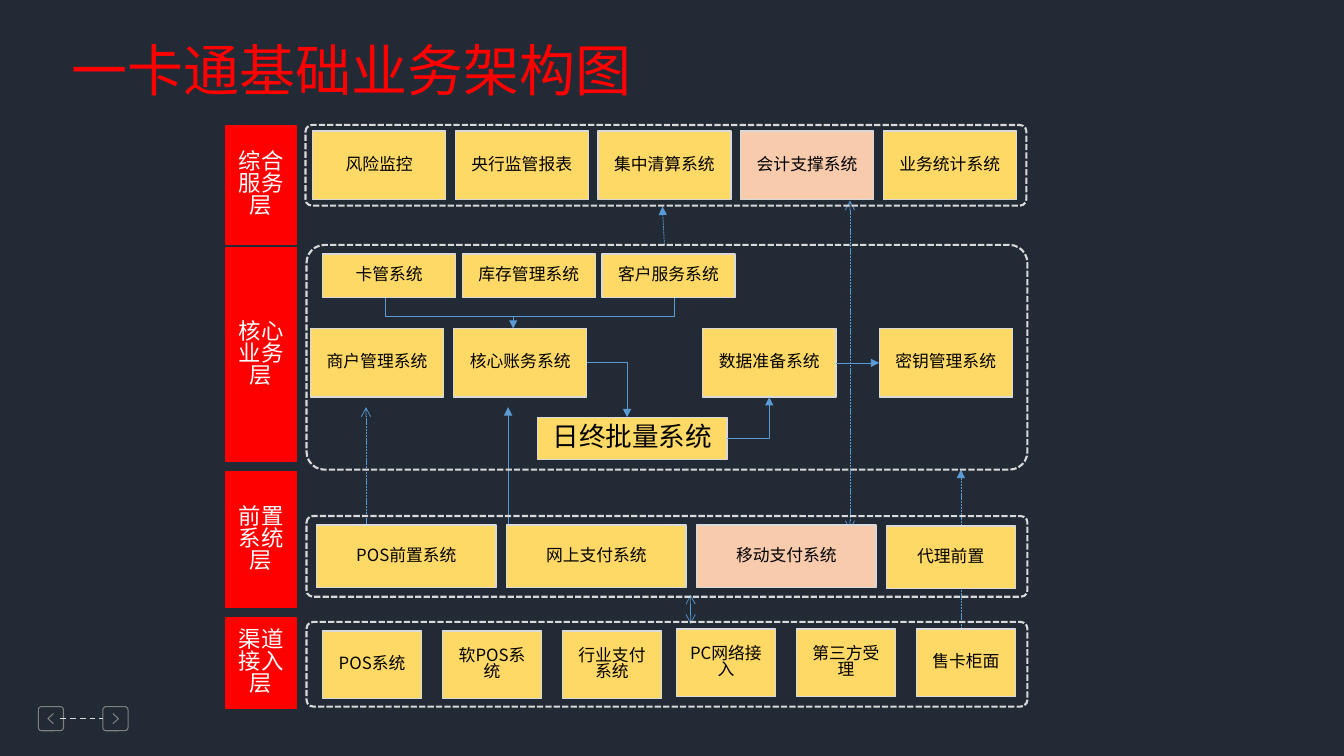
from lxml import etree
from pptx import Presentation
from pptx.dml.color import RGBColor
from pptx.enum.dml import MSO_LINE
from pptx.enum.shapes import MSO_CONNECTOR, MSO_SHAPE
from pptx.enum.text import MSO_ANCHOR, MSO_AUTO_SIZE, PP_ALIGN
from pptx.oxml.ns import qn
from pptx.util import Inches, Pt

STRAIGHT, ELBOW = MSO_CONNECTOR.STRAIGHT, MSO_CONNECTOR.ELBOW
RECT, ROUNDED = MSO_SHAPE.RECTANGLE, MSO_SHAPE.ROUNDED_RECTANGLE
DASH, FINE_DASH = MSO_LINE.DASH, MSO_LINE.SQUARE_DOT
MIDDLE, TOP, CENTER = MSO_ANCHOR.MIDDLE, MSO_ANCHOR.TOP, PP_ALIGN.CENTER
FONT = "Noto Sans CJK SC"
NIGHT, RED, YELLOW, PINK = "222A35", "FF0000", "FFD966", "F8CBAD"
BLUE, PALE, GREY, WHITE, BLACK = "5B9BD5", "D9D9D9", "808080", "FFFFFF", "000000"

TITLE = "一卡通基础业务架构图"
LAYER_LEFT, LAYER_WIDTH = 2.24, 0.7
LAYERS = [("综合服务层", 1.25, 1.17), ("核心业务层", 2.46, 2.12),
          ("前置系统层", 4.68, 1.35), ("渠道接入层", 6.13, 0.9)]
PANEL_WIDTH = 7.15
PANELS = [(3.03, 1.24, 0.8), (3.04, 2.43, 2.23), (3.04, 5.12, 0.8), (3.04, 6.17, 0.84)]
PINK_SYSTEMS = {"会计支撑系统", "移动支付系统"}
# left, top, column step, card width, card height, text size, systems
SYSTEM_ROWS = [
    (3.1, 1.3, 1.415, 1.32, 0.68, 12,
     ["风险监控", "央行监管报表", "集中清算系统", "会计支撑系统", "业务统计系统"]),
    (3.2, 2.52, 1.385, 1.32, 0.43, 12, ["卡管系统", "库存管理系统", "客户服务系统"]),
    (3.08, 3.26, 1.42, 1.32, 0.68, 12, ["商户管理系统", "核心账务系统"]),
    (6.97, 3.26, 1.75, 1.32, 0.68, 12, ["数据准备系统", "密钥管理系统"]),
    (5.33, 4.14, 0, 1.88, 0.42, 19, ["日终批量系统"]),
    (3.14, 5.21, 1.885, 1.78, 0.62, 12, ["POS前置系统", "网上支付系统", "移动支付系统"]),
    (8.79, 5.22, 0, 1.28, 0.62, 12, ["代理前置"]),
    (3.2, 6.26, 1.19, 0.98, 0.67, 12, ["POS系统", "软POS系统", "行业支付系统"]),
    (6.71, 6.24, 1.19, 0.98, 0.67, 12, ["PC网络接入", "第三方受理", "售卡柜面"]),
]
LAYER_FLOWS = [
    ((6.59, 2.43), (6.57, 2.05), FINE_DASH, None, "triangle"),
    ((3.63, 5.36), (3.63, 4.04), FINE_DASH, "arrow", "arrow"),
    ((8.43, 5.26), (8.43, 1.99), FINE_DASH, "arrow", "arrow"),
    ((5.04, 5.38), (5.04, 4.04), None, None, "triangle"),
    ((9.53, 6.24), (9.53, 4.66), FINE_DASH, None, "triangle"),
    ((6.85, 5.9), (6.85, 6.19), None, "arrow", "arrow"),
    ((3.82, 2.94), (3.82, 3.14), None, None, None),
    ((6.69, 2.94), (6.69, 3.14), None, None, None),
    ((3.82, 3.14), (6.69, 3.14), None, None, None),
    ((5.09, 3.14), (5.09, 3.26), None, None, "triangle"),
]
SYSTEM_FLOWS = [
    (ELBOW, (5.82, 3.6), (6.22, 4.14), ("核心账务系统", 3), None),
    (ELBOW, (7.21, 4.35), (7.63, 3.94), ("日终批量系统", 3), ("数据准备系统", 2)),
    (STRAIGHT, (8.29, 3.6), (8.72, 3.6), ("数据准备系统", 3), ("密钥管理系统", 1)),
]
NAV_BUTTONS = [(0.38, 0.53, 0.475), (1.02, 1.12, 1.175)]


def color(value):
    """Turn a hex string into a colour."""
    return RGBColor.from_string(value)


def apply(target, values):
    """Set every attribute named in a dict."""
    for name, value in values.items():
        setattr(target, name, value)


def stroke(line, value, width, dash=None):
    """Format an outline or connector line."""
    line.color.rgb = color(value)
    apply(line, {"width": Pt(width), "dash_style": dash})


def write(frame, text, size, value, anchor, wrap, spacing):
    """Put one centred paragraph in a text frame."""
    apply(frame, {"text": text, "word_wrap": wrap, "vertical_anchor": anchor,
                  "auto_size": MSO_AUTO_SIZE.NONE,
                  "margin_left": Inches(0.1), "margin_right": Inches(0.1),
                  "margin_top": Inches(0.05), "margin_bottom": Inches(0.05)})
    paragraph = frame.paragraphs[0]
    apply(paragraph, {"alignment": CENTER, "line_spacing": spacing})
    run = paragraph.runs[0]
    apply(run.font, {"name": FONT, "size": Pt(size)})
    run.font.color.rgb = color(value)
    etree.SubElement(run.font._element, qn("a:ea")).set("typeface", FONT)


def add_box(slide, kind, place, fill, line, width, dash=None):
    """Add a preset shape; without a fill colour it stays hollow."""
    box = slide.shapes.add_shape(kind, *map(Inches, place))
    box.shadow.inherit = False
    if fill:
        box.fill.solid()
        box.fill.fore_color.rgb = color(fill)
    else:
        box.fill.background()
    stroke(box.line, line, width, dash)
    return box


def add_flow(slide, kind, start, end, value, width, dash=None, head=None, tail=None):
    """Add a connector with optional arrowheads."""
    flow = slide.shapes.add_connector(kind, *map(Inches, start + end))
    stroke(flow.line, value, width, dash)
    properties = flow._element.spPr
    if kind == ELBOW:
        properties.find(qn("a:prstGeom")).set("prst", "bentConnector2")
    for tag, arrow in (("a:headEnd", head), ("a:tailEnd", tail)):
        if arrow:
            etree.SubElement(properties.find(qn("a:ln")), qn(tag)).set("type", arrow)
    etree.SubElement(properties, qn("a:effectLst"))
    return flow


def add_navigation(slide):
    """Draw the two page buttons and the dashed line between them."""
    for left, outer, tip in NAV_BUTTONS:
        button = add_box(slide, ROUNDED, (left, 7.01, 0.25, 0.24), None, GREY, 0.75)
        button.adjustments[0] = 0.14
        builder = slide.shapes.build_freeform(Inches(outer), Inches(7.08), scale=1.0)
        builder.add_line_segments([(Inches(tip), Inches(7.13)),
                                   (Inches(outer), Inches(7.18))], close=False)
        chevron = builder.convert_to_shape()
        chevron.shadow.inherit = False
        chevron.fill.background()
        stroke(chevron.line, GREY, 0.75)
    add_flow(slide, STRAIGHT, (0.6, 7.13), (1.02, 7.13), PALE, 1, DASH)


def main():
    """Build the architecture slide."""
    deck = Presentation()
    apply(deck, {"slide_width": Inches(13.33), "slide_height": Inches(7.5)})
    slide = deck.slides.add_slide(deck.slide_layouts[5])
    slide.background.fill.solid()
    slide.background.fill.fore_color.rgb = color(NIGHT)
    title = slide.shapes.title
    apply(title, {"left": Inches(0.58), "top": Inches(0.38),
                  "width": Inches(5.81), "height": Inches(1.45)})
    write(title.text_frame, TITLE, 40, RED, TOP, False, 0.9)
    add_navigation(slide)

    for start, end, dash, head, tail in LAYER_FLOWS:
        add_flow(slide, STRAIGHT, start, end, BLUE, 0.5, dash, head, tail)
    for name, top, height in LAYERS:
        layer = add_box(slide, RECT, (LAYER_LEFT, top, LAYER_WIDTH, height), RED, RED, 1)
        write(layer.text_frame, name, 16, WHITE, MIDDLE, True, 0.82)

    systems = {}
    for left, top, step, width, height, size, names in SYSTEM_ROWS:
        for column, name in enumerate(names):
            fill = PINK if name in PINK_SYSTEMS else YELLOW
            place = (left + column * step, top, width, height)
            systems[name] = add_box(slide, RECT, place, fill, PALE, 1)
            write(systems[name].text_frame, name, size, BLACK, MIDDLE, True, 0.82)

    for kind, start, end, source, target in SYSTEM_FLOWS:
        flow = add_flow(slide, kind, start, end, BLUE, 0.5, tail="triangle")
        flow.begin_connect(systems[source[0]], source[1])
        if target:
            flow.end_connect(systems[target[0]], target[1])
    for left, top, height in PANELS:
        panel = add_box(slide, ROUNDED, (left, top, PANEL_WIDTH, height),
                        None, PALE, 1.5, FINE_DASH)
        panel.adjustments[0] = 0.08
    deck.save("out.pptx")


if __name__ == "__main__":
    main()
